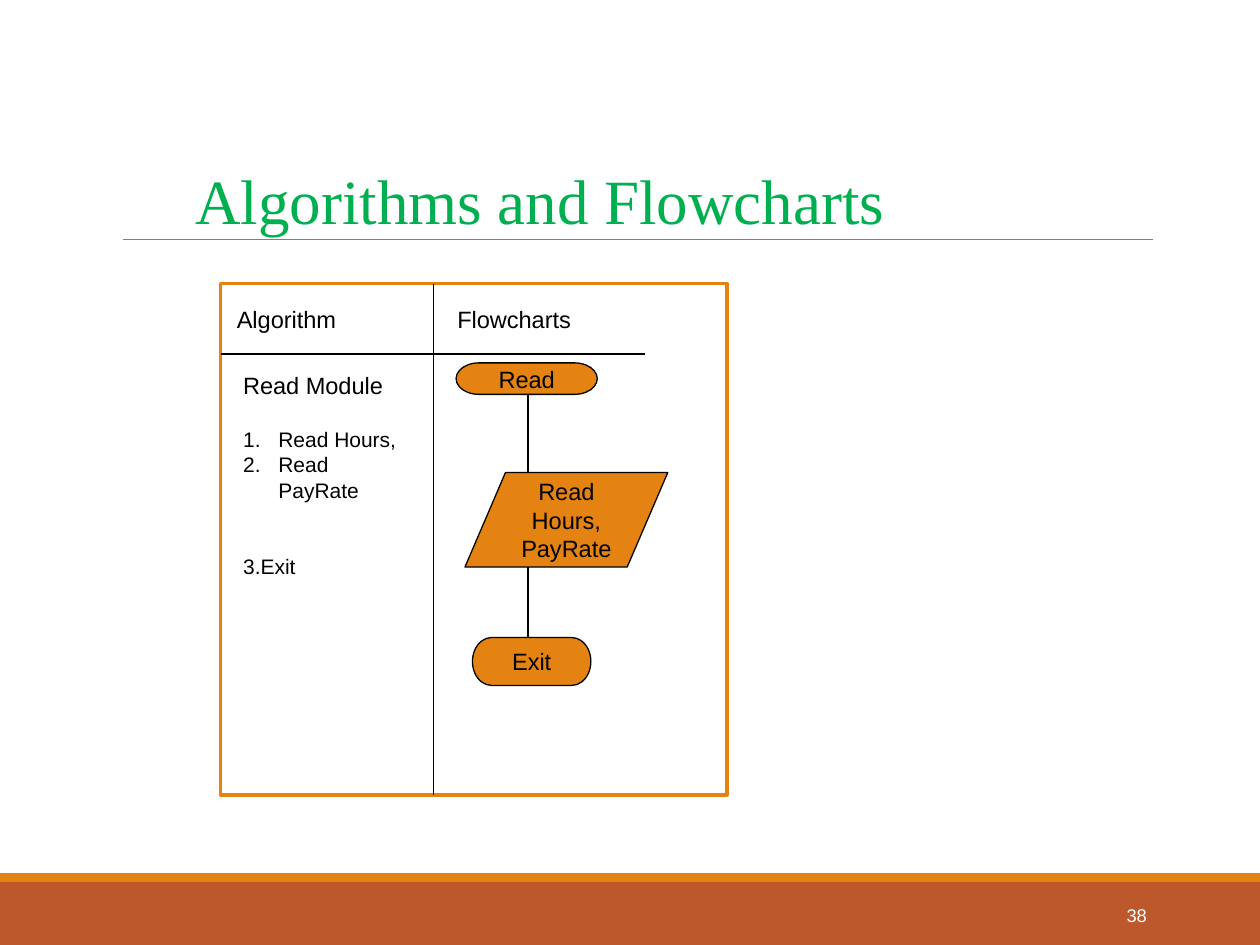
from dataclasses import dataclass

import pptx
import pptx.dml.color
import pptx.enum.shapes
import pptx.enum.text
import pptx.oxml
import pptx.oxml.ns
import pptx.slide
import pptx.text.text
import pptx.util
from pptx.util import Inches

RGBColor = pptx.dml.color.RGBColor
Kind = pptx.enum.shapes.MSO_SHAPE
Align = pptx.enum.text.PP_ALIGN
Anchor = pptx.enum.text.MSO_ANCHOR

BLACK = RGBColor(0x00, 0x00, 0x00)
WHITE = RGBColor(0xFF, 0xFF, 0xFF)
GRAY = RGBColor(0x7F, 0x7F, 0x7F)
GREEN = RGBColor(0x00, 0xB0, 0x50)
AMBER = RGBColor(0xE4, 0x83, 0x12)
RUST = RGBColor(0xBD, 0x58, 0x2C)

LEFT, TOP, WIDE, TALL = 1.75, 2.25, 4.02, 4.06  # chart frame
SPLIT = 3.44  # column divider
FLOW = 4.19  # axis of the flow lines
INDENT = 0.28


@dataclass
class Box:
    left: float
    top: float
    width: float
    height: float

    def place(self) -> tuple:
        return tuple(Inches(n) for n in
                     (self.left, self.top, self.width, self.height))


@dataclass
class Style:
    size: float = 13.5
    color: RGBColor = BLACK
    face: str = "Arial"
    align: Align = Align.LEFT
    anchor: Anchor = Anchor.TOP
    pad: tuple = (0.07, 0.04)


@dataclass
class Step:
    kind: Kind
    box: Box
    text: str


@dataclass
class Item:
    text: str
    size: float = 12
    gap: float = 0
    auto: bool = False


def write(shape, text: str, style: Style) -> None:
    frame = shape.text_frame
    frame.word_wrap = True
    frame.vertical_anchor = style.anchor
    frame.margin_left = frame.margin_right = Inches(style.pad[0])
    frame.margin_top = frame.margin_bottom = Inches(style.pad[1])
    frame.text = text
    for para in frame.paragraphs:
        para.alignment = style.align
        for run in para.runs:
            run.font.size = pptx.util.Pt(style.size)
            run.font.name = style.face
            run.font.color.rgb = style.color


def label(slide: pptx.slide.Slide, box: Box, text: str, style: Style):
    shape = slide.shapes.add_textbox(*box.place())
    write(shape, text, style)
    return shape


def block(slide: pptx.slide.Slide, kind: Kind, box: Box, fill: RGBColor,
          edge: RGBColor | None = None, weight: float = 0.75):
    shape = slide.shapes.add_shape(kind, *box.place())
    shape.shadow.inherit = False
    shape.fill.solid()
    shape.fill.fore_color.rgb = fill
    if edge is None:
        shape.line.fill.background()
    else:
        shape.line.color.rgb = edge
        shape.line.width = pptx.util.Pt(weight)
    return shape


def rule(slide: pptx.slide.Slide, x1: float, y1: float, x2: float, y2: float,
         color: RGBColor = BLACK) -> None:
    line = slide.shapes.add_connector(
        pptx.enum.shapes.MSO_CONNECTOR.STRAIGHT,
        Inches(x1), Inches(y1), Inches(x2), Inches(y2))
    line.line.color.rgb = color
    line.line.width = pptx.util.Pt(0.75)
    props = line.line._get_or_add_ln().getparent()
    pptx.oxml.ns.qn("a:effectLst")
    props.append(pptx.oxml.parse_xml(
        f"<a:effectLst {pptx.oxml.ns.nsdecls('a')}/>"))


def number(para: pptx.text.text._Paragraph) -> None:
    props = para._p.get_or_add_pPr()
    names = pptx.oxml.ns.nsdecls("a")
    for part in (f'<a:buClr {names}><a:srgbClr val="{BLACK}"/></a:buClr>',
                 f'<a:buAutoNum {names} type="arabicPeriod"/>'):
        props.append(pptx.oxml.parse_xml(part))


def listing(slide: pptx.slide.Slide, box: Box, items: list[Item]) -> None:
    shape = label(slide, box, "\n".join(item.text for item in items), Style())
    for para, item in zip(shape.text_frame.paragraphs, items):
        props = para._p.get_or_add_pPr()
        props.set("marL", str(Inches(INDENT)))
        props.set("indent", str(-Inches(INDENT)))
        if item.auto:
            number(para)
        if item.gap:
            para.space_before = pptx.util.Pt(item.gap)
        for run in para.runs:
            run.font.size = pptx.util.Pt(item.size)


def main() -> None:
    deck = pptx.Presentation()
    deck.slide_width, deck.slide_height = Inches(10), Inches(7.5)
    slide = deck.slides.add_slide(deck.slide_layouts[6])

    # Footer bands and title
    block(slide, Kind.RECTANGLE, Box(0, 7, 10, 0.5), RUST)
    block(slide, Kind.RECTANGLE, Box(0, 6.93, 10, 0.07), AMBER)
    rule(slide, 0.98, 1.9, 9.15, 1.9, GRAY)
    title = label(slide, Box(1.48, 1.16, 6.75, 0.94),
                  "Algorithms and Flowcharts",
                  Style(36, GREEN, "Times New Roman", anchor=Anchor.MIDDLE))
    title.text_frame.paragraphs[0].line_spacing = 0.85

    # Frame with two columns
    block(slide, Kind.RECTANGLE, Box(LEFT, TOP, WIDE, TALL), WHITE, AMBER, 2)
    rule(slide, LEFT, 2.81, 5.12, 2.81)
    rule(slide, SPLIT, TOP, SPLIT, TOP + TALL)
    label(slide, Box(1.81, 2.38, 1.2, 0.3), "Algorithm", Style())
    label(slide, Box(3.56, 2.38, 1.2, 0.3), "Flowcharts", Style())

    # Algorithm
    listing(slide, Box(1.86, 2.9, 1.5, 1.53), [
        Item("Read Module", size=13.5),
        Item("Read Hours,", gap=16, auto=True),
        Item("Read PayRate", auto=True),
        Item("3.Exit", gap=29),
    ])

    # Flowchart
    steps = [
        Step(Kind.FLOWCHART_TERMINATOR, Box(3.62, 2.88, 1.12, 0.25), "Read"),
        Step(Kind.FLOWCHART_DATA, Box(3.69, 3.75, 1.61, 0.75),
             "Read\nHours,\nPayRate"),
        Step(Kind.FLOWCHART_TERMINATOR, Box(3.75, 5.06, 0.94, 0.38), "Exit"),
    ]
    style = Style(align=Align.CENTER, anchor=Anchor.MIDDLE)
    for step in steps:
        write(block(slide, step.kind, step.box, AMBER, BLACK),
              step.text, style)
    for prior, after in zip(steps, steps[1:]):
        rule(slide, FLOW, prior.box.top + prior.box.height,
             FLOW, after.box.top)

    # Slide number
    label(slide, Box(8.12, 7.06, 1.08, 0.4), "38",
          Style(10.5, WHITE, align=Align.RIGHT, anchor=Anchor.MIDDLE,
                pad=(0.1, 0.05)))

    deck.save("out.pptx")


if __name__ == "__main__":
    main()
